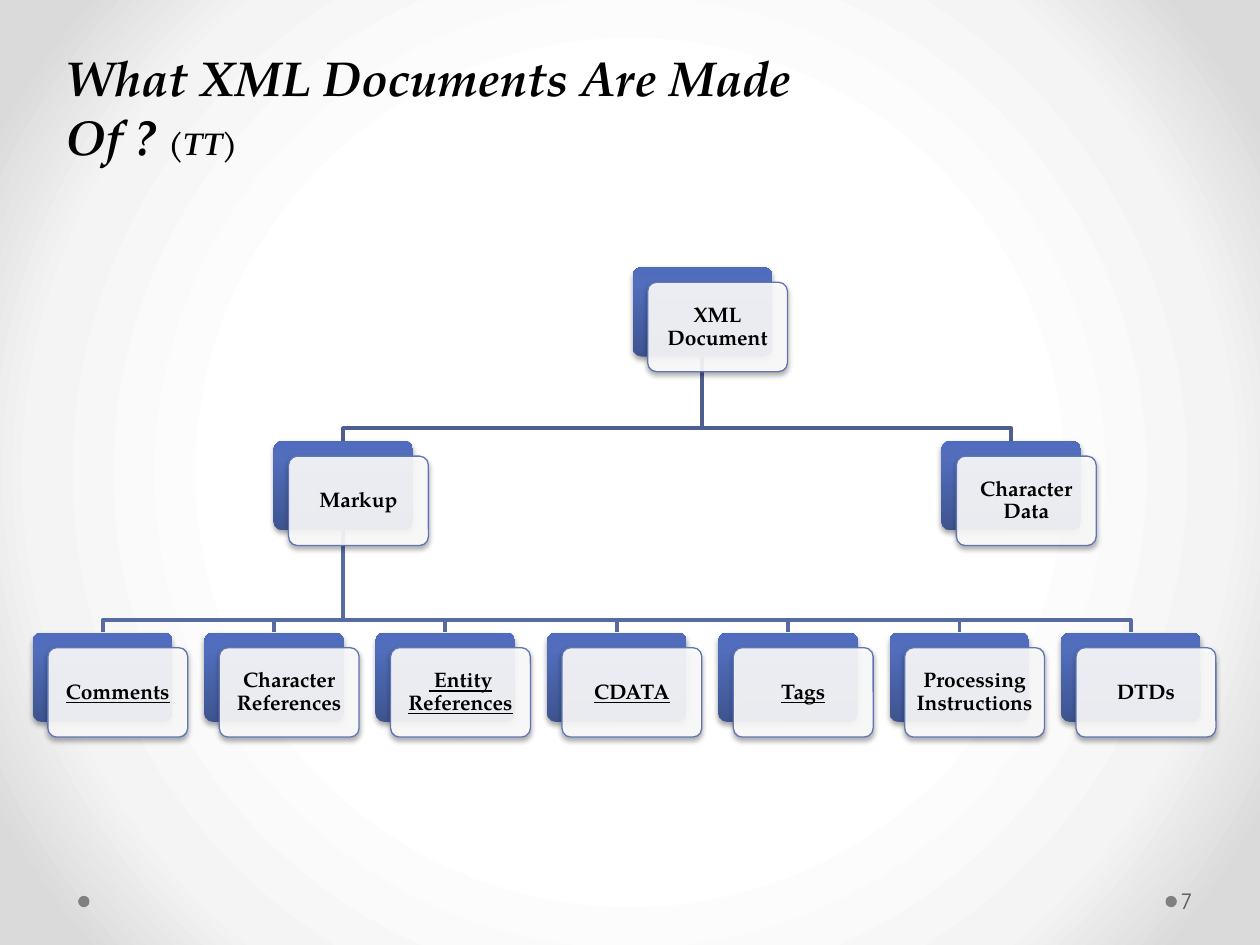
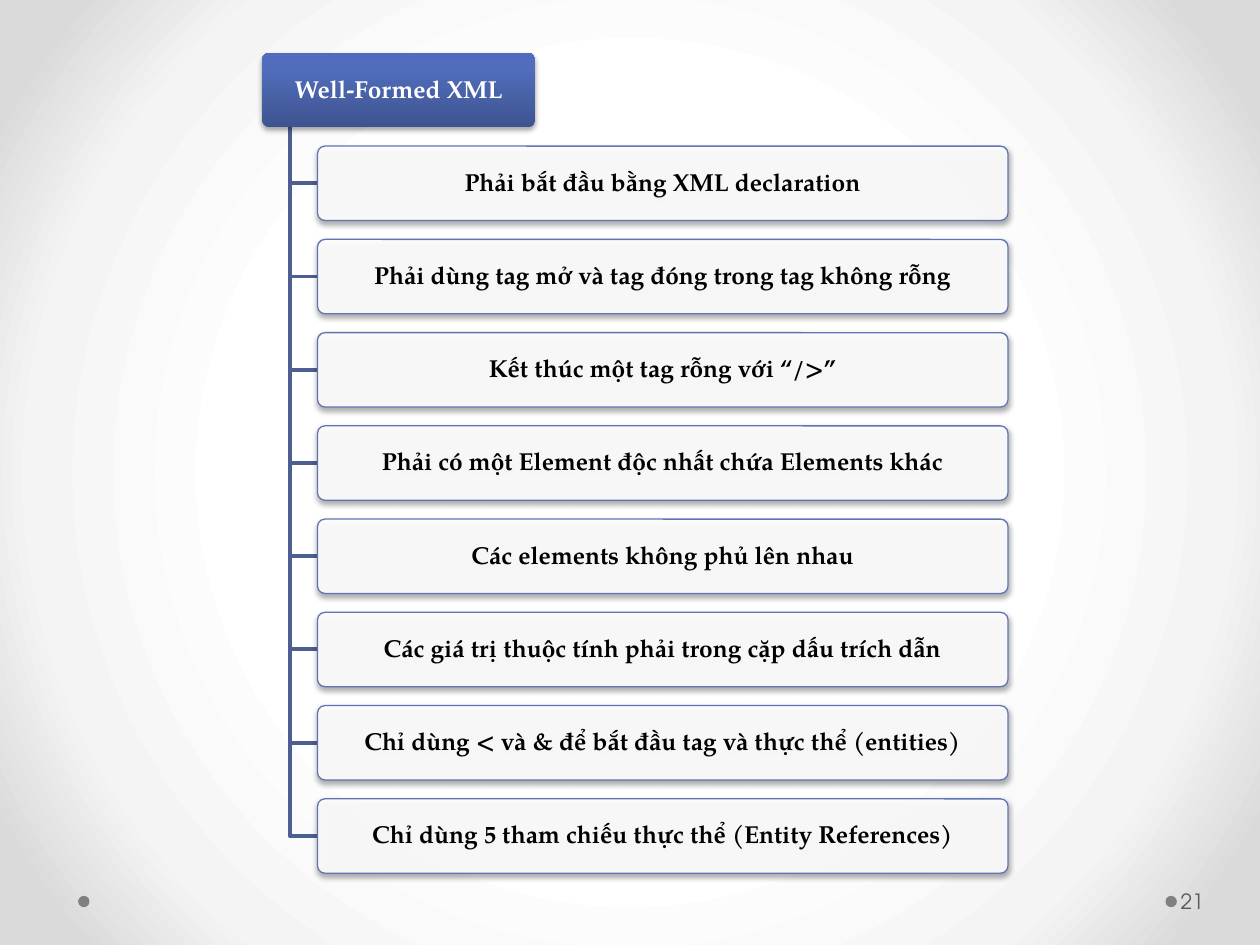
from lxml import etree
from pptx import Presentation
from pptx import util as u
from pptx.dml.color import RGBColor
from pptx.enum import shapes, text
from pptx.oxml import ns

THEME = {
    "serif": "TeX Gyre Pagella",
    "sans": "TeX Gyre Adventor",
    "ink": "000000",
    "paper": "FFFFFF",
    "dot": "808080",
    "number": "595959",
    "edge": "6076B4",
    "branch": "4D5E90",
    "twig": "576BA3",
    "blue": [(0, "3E5490"), (80, "516DBB"), (100, "4F6CBE")],
    "backdrop": [(50, "FFFFFF"), (76, "F4F4F4"), (92, "DADADA")],
    "title_size": u.Pt(28),
    "remark_size": u.Pt(18),
    "rule_size": u.Pt(14),
    "small_size": u.Pt(12),
}
DRAWING = "http://schemas.openxmlformats.org/drawingml/2006/main"
UPWARD = '<a:lin ang="16200000" scaled="0"/>'
RADIAL = '<a:path path="circle"><a:fillToRect l="50000" t="50000" r="50000" b="50000"/></a:path>'
SHADOW = (
    f'<a:effectLst xmlns:a="{DRAWING}"><a:outerShdw blurRad="39370" dist="22860" dir="5400000" '
    'rotWithShape="0"><a:srgbClr val="000000"><a:alpha val="35000"/></a:srgbClr>'
    "</a:outerShdw></a:effectLst>"
)


def paint_gradient(fill, owner, stops, direction):
    fill.gradient()
    marks = "".join(
        f'<a:gs pos="{place * 1000}"><a:srgbClr val="{colour}"/></a:gs>' for place, colour in stops
    )
    gradient = etree.fromstring(
        f'<a:gradFill xmlns:a="{DRAWING}" rotWithShape="1"><a:gsLst>{marks}</a:gsLst>{direction}</a:gradFill>'
    )
    default = owner.find(ns.qn("a:gradFill"))
    owner.replace(default, gradient)


def write(shape, runs, frame_format, paragraph_format):
    frame = shape.text_frame
    paragraph = frame.paragraphs[0]
    for target, values in ((frame, frame_format), (paragraph, paragraph_format)):
        for key, value in values.items():
            setattr(target, key, value)
    for words, colour, font_format in runs:
        run = paragraph.add_run()
        run.text = words
        run.font.color.rgb = RGBColor.from_string(THEME[colour])
        for key, value in font_format.items():
            setattr(run.font, key, value)


NODE_W, NODE_H, CARD_SHIFT, ELBOW = 1.11, 0.71, 0.12, 0.1
LEAF_PITCH = 1.36
root = ("XML Document", 5.02, 2.12, False)
markup = ("Markup", 2.17, 3.5, False)
character_data = ("Character Data", 7.47, 3.5, False)
leaf_words = [
    ("Comments", True),
    ("Character References", False),
    (" Entity References", True),
    ("CDATA", True),
    ("Tags", True),
    ("Processing Instructions", False),
    ("DTDs", False),
]
leaves = [
    (words, 0.26 + LEAF_PITCH * i, 5.02, underlined)
    for i, (words, underlined) in enumerate(leaf_words)
]

tree_lines = []
for parent, children, colour in (
    (markup, leaves, "twig"),
    (root, [markup, character_data], "branch"),
):
    start_x, start_y = parent[1] + NODE_W / 2, parent[2] + NODE_H
    for words, x, y, underlined in children:
        end_x = x + NODE_W / 2
        corners = [(start_x, start_y), (start_x, y - ELBOW), (end_x, y - ELBOW), (end_x, y)]
        tree_lines.append((corners, colour))

node_font = {"size": THEME["small_size"], "name": THEME["serif"], "bold": True}
tree_boxes = []
for words, x, y, underlined in [root, markup, character_data, *leaves]:
    tree_boxes.append((x, y, NODE_W, NODE_H, True, None))
    label = (words, "ink", {**node_font, "underline": underlined})
    tree_boxes.append((x + CARD_SHIFT, y + CARD_SHIFT, NODE_W, NODE_H, False, label))

RULE_LEFT, RULE_TOP, RULE_H, RULE_PITCH, TRUNK = 2.52, 0.42, 0.59, 0.74, 2.3
rules = [
    "Phải bắt đầu bằng XML declaration",
    "Phải dùng tag mở và tag đóng trong tag không rỗng",
    "Kết thúc một tag rỗng với “/>”",
    "Phải có một Element độc nhất chứa Elements khác",
    "Các elements không phủ lên nhau",
    "Các giá trị thuộc tính phải trong cặp dấu trích dẫn",
    "Chỉ dùng < và & để bắt đầu tag và thực thể (entities)",
    "Chỉ dùng 5 tham chiếu thực thể (Entity References)",
]
rule_font = {**node_font, "size": THEME["rule_size"]}
rule_lines = []
rule_boxes = [(2.08, RULE_TOP, 2.17, RULE_H, True, ("Well-Formed XML", "paper", rule_font))]
for i, words in enumerate(rules, start=1):
    y = RULE_TOP + RULE_PITCH * i
    middle = y + RULE_H / 2
    corners = [(TRUNK, RULE_TOP + RULE_H), (TRUNK, middle), (RULE_LEFT, middle)]
    rule_lines.append((corners, "branch"))
    rule_boxes.append((RULE_LEFT, y, 5.48, RULE_H, False, (words, "ink", rule_font)))

title_font = {"size": THEME["title_size"], "name": THEME["serif"], "bold": True, "italic": True}
title = [
    ("What XML Documents Are Made Of ? ", "ink", title_font),
    ("(TT)", "ink", {**title_font, "size": THEME["remark_size"]}),
]
number_font = {"size": THEME["small_size"], "name": THEME["sans"]}
box_frame = {
    "word_wrap": True,
    "vertical_anchor": text.MSO_ANCHOR.MIDDLE,
    "margin_left": u.Inches(0.05),
    "margin_right": u.Inches(0.05),
    "margin_top": u.Inches(0.05),
    "margin_bottom": u.Inches(0.05),
}
box_paragraph = {"alignment": text.PP_ALIGN.CENTER, "line_spacing": 0.9}

deck = Presentation()
deck.slide_width, deck.slide_height = u.Inches(10), u.Inches(7.5)

for number, heading, lines, boxes in (
    ("7", title, tree_lines, tree_boxes),
    ("21", None, rule_lines, rule_boxes),
):
    slide = deck.slides.add_slide(deck.slide_layouts[6])
    backdrop = slide.background.fill
    backdrop.solid()
    paint_gradient(backdrop, slide.element.find(".//" + ns.qn("p:bgPr")), THEME["backdrop"], RADIAL)

    for x in (9.25, 0.62):
        dot = slide.shapes.add_shape(
            shapes.MSO_SHAPE.OVAL, u.Inches(x), u.Inches(7.11), u.Inches(0.09), u.Inches(0.09)
        )
        dot.shadow.inherit = False
        dot.fill.solid()
        dot.fill.fore_color.rgb = RGBColor.from_string(THEME["dot"])
        dot.line.fill.background()

    for corners, colour in lines:
        points = [(u.Inches(x), u.Inches(y)) for x, y in corners]
        outline = slide.shapes.build_freeform(*points[0])
        outline.add_line_segments(points[1:], close=False)
        branch = outline.convert_to_shape()
        branch.shadow.inherit = False
        branch.fill.background()
        branch.line.color.rgb = RGBColor.from_string(THEME[colour])
        branch.line.width = u.Pt(2.25)

    for x, y, width, height, accented, label in boxes:
        box = slide.shapes.add_shape(
            shapes.MSO_SHAPE.ROUNDED_RECTANGLE,
            u.Inches(x), u.Inches(y), u.Inches(width), u.Inches(height),
        )
        box.adjustments[0] = 0.1
        properties = box.element.spPr
        if accented:
            paint_gradient(box.fill, properties, THEME["blue"], UPWARD)
            box.line.fill.background()
        else:
            box.fill.solid()
            box.fill.fore_color.rgb = RGBColor.from_string(THEME["paper"])
            tint = properties.find(ns.qn("a:solidFill"))[0]
            etree.SubElement(tint, ns.qn("a:alpha"), val="90000")
            box.line.color.rgb = RGBColor.from_string(THEME["edge"])
            box.line.width = u.Pt(0.75)
        properties.append(etree.fromstring(SHADOW))
        if label:
            write(box, [label], box_frame, box_paragraph)

    if heading:
        title_box = slide.shapes.add_textbox(
            u.Inches(0.42), u.Inches(0.33), u.Inches(6.76), u.Inches(0.57)
        )
        write(title_box, heading, {"word_wrap": True, "margin_right": u.Inches(0.5)}, {})

    page = slide.shapes.add_textbox(
        u.Inches(9.34), u.Inches(6.95), u.Inches(0.61), u.Inches(0.4)
    )
    page_frame = {**box_frame, "margin_left": u.Inches(0.03)}
    write(page, [(number, "number", number_font)], page_frame, {})

deck.save("out.pptx")
